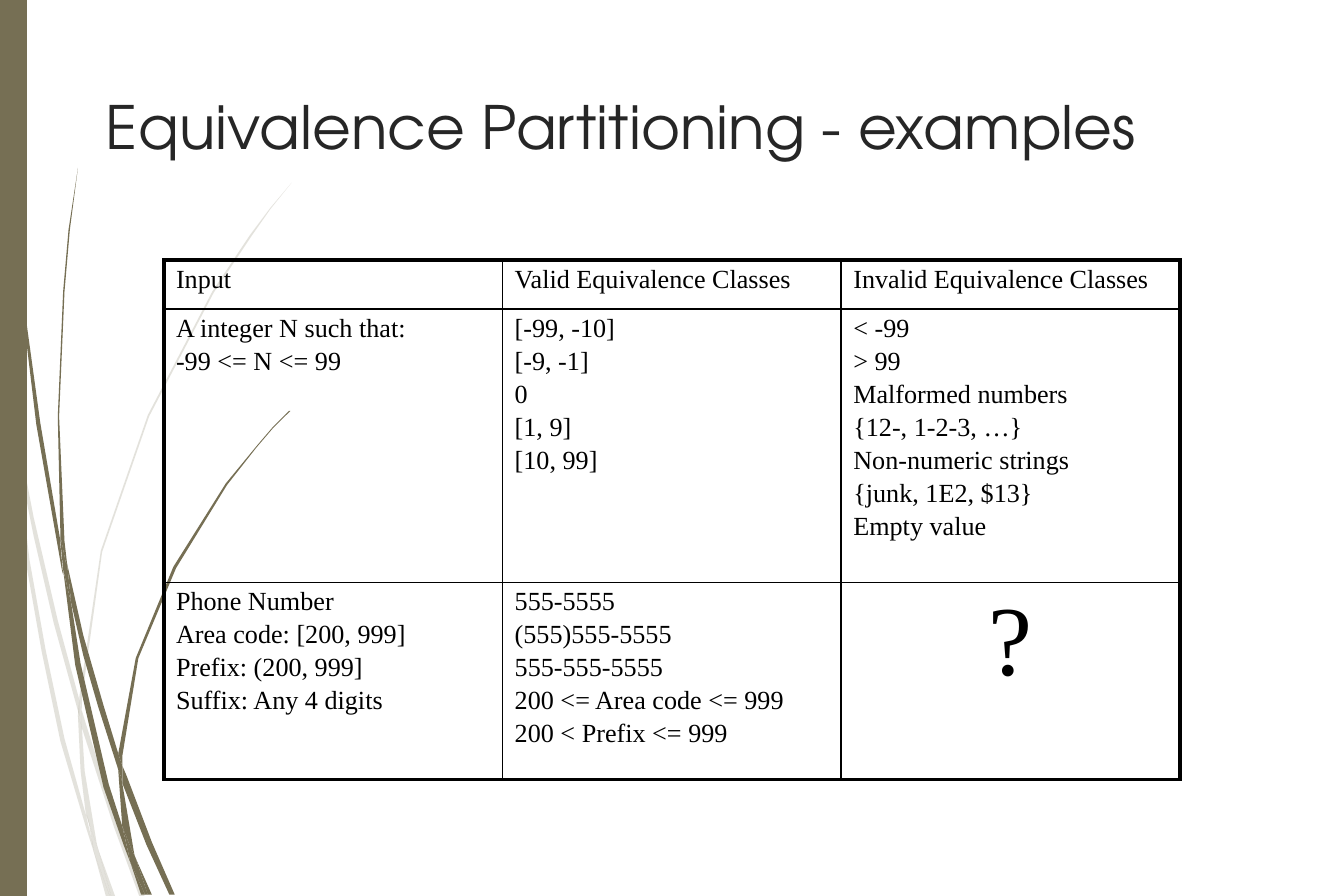
from dataclasses import dataclass

from lxml import etree
from pptx import Presentation
from pptx.dml.color import RGBColor
from pptx.enum.shapes import MSO_SHAPE
from pptx.enum.text import MSO_ANCHOR, PP_ALIGN
from pptx.oxml.ns import qn
from pptx.util import Inches, Pt

RECTANGLE = MSO_SHAPE.RECTANGLE
MIDDLE = MSO_ANCHOR.MIDDLE
LEFT, CENTER = PP_ALIGN.LEFT, PP_ALIGN.CENTER

COLORS = {"olive": "766F54", "title": "262626", "ink": "000000"}
TITLE_FONT, BODY_FONT = "TeX Gyre Adventor", "Times New Roman"
WIDTH, HEIGHT = Inches(10), Inches(6.67)
GRID = Inches(0.01)
THIN, THICK = Pt(1), Pt(2.25)
COLUMN_WIDTH = 0.252
ROW_HEIGHTS = (0.055, 0.305, 0.22)


@dataclass(frozen=True)
class Blade:
    points: tuple[tuple[int, int], ...]


@dataclass(frozen=True)
class Entry:
    text: str
    size: float = 14
    align: PP_ALIGN = LEFT


PALE_BLADES = (
    Blade(((8, 311), (6, 286), (0, 250), (0, 266), (7, 306))),
    Blade(((40, 464), (59, 533), (59, 521), (43, 462), (25, 385), (10, 307), (12, 334), (25, 399))),
    Blade(((64, 539), (61, 529), (61, 542), (85, 616), (104, 668), (108, 668), (88, 615))),
    Blade(((83, 668), (86, 668), (73, 632))),
    Blade(((64, 607), (48, 550), (34, 484), (22, 417), (12, 334), (8, 311), (19, 417),
           (31, 485), (45, 552), (64, 616), (70, 635), (69, 628))),
    Blade(((58, 533), (60, 574), (64, 607), (67, 615), (73, 632), (72, 628), (63, 574),
           (61, 542), (61, 541))),
    Blade(((61, 519), (76, 411), (111, 310), (159, 218), (187, 176), (201, 156), (217, 136),
           (201, 155), (186, 175), (158, 217), (110, 309), (75, 410), (59, 519), (59, 521),
           (61, 529))),
    Blade(((70, 635), (79, 668), (82, 668))),
    Blade(((61, 541), (61, 543), (61, 530), (59, 521), (58, 533))),
    Blade(((67, 615), (65, 607), (69, 629), (70, 635), (82, 668), (83, 668), (73, 632))),
)

DARK_BLADES = (
    Blade(((5, 98), (14, 207), (27, 316), (46, 424), (47, 428), (45, 406), (45, 403),
           (30, 315), (15, 206), (6, 97), (4, 43), (3, 0), (2, 0), (3, 43))),
    Blade(((73, 526), (88, 573), (88, 563), (88, 561), (77, 525), (62, 473), (50, 420),
           (53, 449), (62, 488))),
    Blade(((94, 577), (91, 570), (91, 583), (109, 629), (126, 666), (130, 666), (113, 627))),
    Blade(((91, 615), (81, 584), (60, 494), (53, 449), (47, 424), (56, 495), (77, 586),
           (92, 629), (97, 642), (96, 637))),
    Blade(((50, 420), (48, 403), (44, 310), (48, 217), (52, 171), (58, 125), (51, 171),
           (47, 217), (43, 310), (45, 399), (49, 419))),
    Blade(((110, 666), (113, 666), (101, 639))),
    Blade(((47, 424), (53, 449), (50, 420), (49, 419), (45, 399), (45, 403))),
    Blade(((91, 563), (103, 490), (131, 423), (169, 361), (191, 333), (203, 319), (216, 306),
           (215, 306), (203, 318), (191, 332), (168, 360), (129, 422), (101, 490), (88, 561),
           (91, 570))),
    Blade(((97, 642), (105, 666), (108, 666))),
    Blade(((88, 573), (91, 615), (96, 628), (101, 639), (100, 636), (91, 583), (90, 578))),
    Blade(((88, 573), (90, 578), (91, 583), (91, 570), (88, 561), (88, 563))),
    Blade(((96, 628), (91, 615), (96, 637), (97, 642), (108, 666), (110, 666), (101, 639))),
)

ROWS = (
    (Entry("Input"), Entry("Valid Equivalence Classes"), Entry("Invalid Equivalence Classes")),
    (
        Entry("A integer N such that:\n-99 <= N <= 99"),
        Entry("[-99, -10]\n[-9, -1]\n0\n[1, 9]\n[10, 99]"),
        Entry("< -99\n> 99\nMalformed numbers\n{12-, 1-2-3, …}\n"
              "Non-numeric strings\n{junk, 1E2, $13}\nEmpty value"),
    ),
    (
        Entry("Phone Number\nArea code: [200, 999]\nPrefix: (200, 999]\nSuffix: Any 4 digits"),
        Entry("555-5555\n(555)555-5555\n555-555-5555\n"
              "200 <= Area code <= 999\n200 < Prefix <= 999"),
        Entry("?", size=53, align=CENTER),
    ),
)


def rgb(name: str) -> RGBColor:
    return RGBColor.from_string(COLORS[name])


def paint(shape, opacity: int = 100) -> None:
    shape.shadow.inherit = False
    shape.line.fill.background()
    shape.fill.solid()
    shape.fill.fore_color.rgb = rgb("olive")
    if opacity < 100:
        color = shape.fill._xPr.find(f".//{qn('a:srgbClr')}")
        etree.SubElement(color, qn("a:alpha"), val=str(opacity * 1000))


def draw_blade(page, blade: Blade, opacity: int) -> None:
    first, *rest = blade.points
    builder = page.shapes.build_freeform(*first, scale=GRID)
    builder.add_line_segments(rest, close=True)
    paint(builder.convert_to_shape(), opacity)


def write(frame, text: str, *, font: str, size: float, color: str,
          align: PP_ALIGN = LEFT, gap: float = 0) -> None:
    frame.word_wrap = True
    for index, line in enumerate(text.split("\n")):
        para = frame.add_paragraph() if index else frame.paragraphs[0]
        para.alignment = align
        para.space_before = Pt(gap if index else 0)
        span = para.add_run()
        span.text = line
        span.font.name = font
        span.font.size = Pt(size)
        span.font.color.rgb = rgb(color)


def draw_borders(cell, widths: dict[str, int]) -> None:
    properties = cell._tc.get_or_add_tcPr()
    for index, (side, width) in enumerate(widths.items()):
        line = etree.Element(qn(f"a:{side}"), w=str(width))
        fill = etree.SubElement(line, qn("a:solidFill"))
        etree.SubElement(fill, qn("a:srgbClr"), val=COLORS["ink"])
        properties.insert(index, line)


def draw_table(page) -> None:
    row_count, column_count = len(ROWS), len(ROWS[0])
    frame = page.shapes.add_table(
        row_count, column_count, int(WIDTH * 0.122), int(HEIGHT * 0.29),
        int(WIDTH * COLUMN_WIDTH * column_count), int(HEIGHT * sum(ROW_HEIGHTS)))
    table = frame.table
    table.first_row = table.horz_banding = False
    for column in table.columns:
        column.width = int(WIDTH * COLUMN_WIDTH)
    for row, (height, entries) in enumerate(zip(ROW_HEIGHTS, ROWS)):
        table.rows[row].height = int(HEIGHT * height)
        for column, entry in enumerate(entries):
            cell = table.cell(row, column)
            cell.fill.background()
            cell.margin_left = cell.margin_right = Inches(0.09)
            cell.margin_top = cell.margin_bottom = Inches(0.04)
            write(cell.text_frame, entry.text, font=BODY_FONT, size=entry.size,
                  color="ink", align=entry.align, gap=2.2)
            draw_borders(cell, {
                "lnL": THICK if column == 0 else THIN,
                "lnR": THICK if column == column_count - 1 else THIN,
                "lnT": THICK if row == 0 else THIN,
                "lnB": THICK if row == row_count - 1 else THIN,
            })


def main() -> None:
    deck = Presentation()
    deck.slide_width, deck.slide_height = WIDTH, HEIGHT
    page = deck.slides.add_slide(deck.slide_layouts[6])
    for blades, opacity in ((PALE_BLADES, 20), (DARK_BLADES, 100)):
        for blade in blades:
            draw_blade(page, blade, opacity)
    paint(page.shapes.add_shape(RECTANGLE, 0, 0, int(WIDTH * 0.02), HEIGHT))
    box = page.shapes.add_textbox(
        int(WIDTH * 0.069), int(HEIGHT * 0.088), int(WIDTH * 0.882), int(HEIGHT * 0.105))
    box.text_frame.vertical_anchor = MIDDLE
    write(box.text_frame, "Equivalence Partitioning - examples",
          font=TITLE_FONT, size=32, color="title")
    draw_table(page)
    deck.save("out.pptx")


if __name__ == "__main__":
    main()
